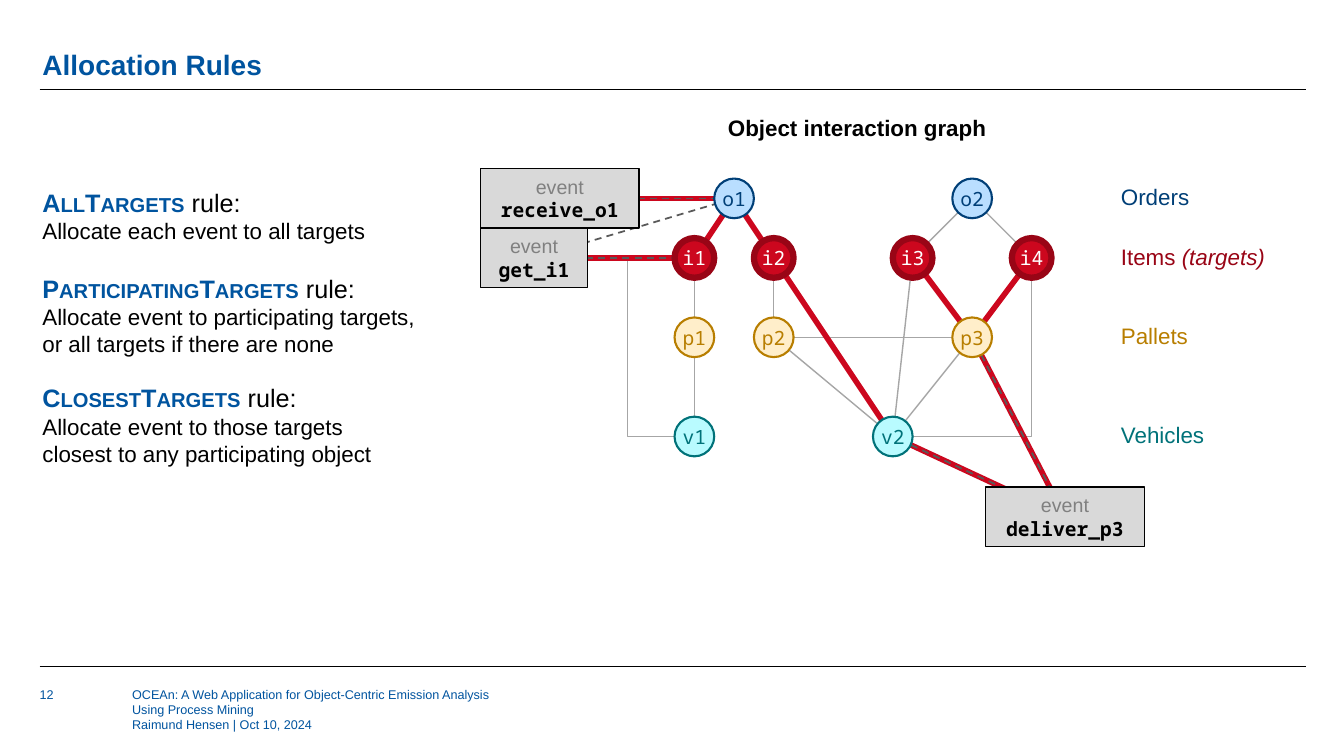
from collections import namedtuple
from math import hypot

from lxml.etree import SubElement
from pptx import Presentation
from pptx.dml.color import RGBColor
from pptx.enum.dml import MSO_LINE
from pptx.enum.shapes import MSO_CONNECTOR, MSO_SHAPE
from pptx.enum.text import MSO_ANCHOR, PP_ALIGN
from pptx.oxml.ns import qn
from pptx.util import Cm, Pt

Box = namedtuple("Box", "left top width height")
Kind = namedtuple("Kind", "row label note fill outline text weight")

BLUE = RGBColor(0x00, 0x54, 0x9F)
BLACK = RGBColor(0x00, 0x00, 0x00)
WHITE = RGBColor(0xFF, 0xFF, 0xFF)
RED = RGBColor(0xCC, 0x07, 0x1E)
DARK_RED = RGBColor(0x99, 0x05, 0x16)
NAVY = RGBColor(0x00, 0x3F, 0x77)
SKY = RGBColor(0xB9, 0xDE, 0xFF)
OCHRE = RGBColor(0xB8, 0x7E, 0x00)
CREAM = RGBColor(0xFF, 0xEE, 0xCA)
TEAL = RGBColor(0x00, 0x72, 0x79)
AQUA = RGBColor(0xB9, 0xFB, 0xFF)
LINK_GREY = RGBColor(0xA6, 0xA6, 0xA6)
DASH_GREY = RGBColor(0x59, 0x59, 0x59)
EVENT_GREY = RGBColor(0xD9, 0xD9, 0xD9)
CAPTION_GREY = RGBColor(0x80, 0x80, 0x80)

SANS, MONO = "Arial", "Noto Sans Mono"
NODE_SIZE, LINK_INSET, EVENT_HEIGHT = 1, 0.1, 1.5
DETOUR_X = 3.82

# Row centres are measured in cm from the top of the graph.
KINDS = {
    "o": Kind(1, "Orders", "", SKY, NAVY, NAVY, 1.5),
    "i": Kind(2.5, "Items ", "(targets)", RED, DARK_RED, WHITE, 4.5),
    "p": Kind(4.5, "Pallets", "", CREAM, OCHRE, OCHRE, 1.5),
    "v": Kind(7, "Vehicles", "", AQUA, TEAL, TEAL, 1.5),
}
NODE_X = {"i1": 5.5, "i2": 7.5, "i3": 11, "i4": 14, "p1": 5.5, "p2": 7.5,
          "p3": 12.5, "v1": 5.5, "v2": 10.5, "o1": 6.5, "o2": 12.5}
# Event name: centre x, centre y, width
EVENTS = {"deliver_p3": (14.84, 9.02, 4), "get_i1": (1.46, 2.5, 2.7),
          "receive_o1": (2.11, 1, 4)}

INTERACTIONS = ["p2 p3", "p3 v2", "i2 v2", "p2 v2", "i3 v2", "i1 p1", "p1 v1", "i2 p2",
                "o1 i1", "o1 i2", "o2 i3", "o2 i4", "i4 p3", "i3 p3"]
ALLOCATIONS = ["p3 i3", "p3 i4", "deliver_p3 p3", "deliver_p3 v2", "v2 i2",
               "o1 receive_o1", "o1 i1", "o1 i2", "i1 get_i1"]
PARTICIPATIONS = ["deliver_p3 v2", "deliver_p3 p3", "i1 get_i1", "o1 get_i1",
                  "o1 receive_o1"]

RULES = [
    ("AllTargets", 0, ["Allocate each event to all targets"]),
    ("ParticipatingTargets", 20.7, ["Allocate event to participating targets,",
                                    "or all targets if there are none"]),
    ("ClosestTargets", 18.4, ["Allocate event to those targets",
                              "closest to any participating object"]),
]


def add_run(paragraph, text, color, **font_format):
    run = paragraph.add_run()
    run.text = text
    run.font.color.rgb = color
    for key, value in {"name": SANS, **font_format}.items():
        setattr(run.font, key, value)
    return run


def set_frame(frame, inset=None, anchor=MSO_ANCHOR.TOP):
    frame.word_wrap = True
    frame.vertical_anchor = anchor
    if inset is not None:
        for side in ("left", "top", "right", "bottom"):
            setattr(frame, f"margin_{side}", Cm(inset))
    return frame


def add_text(slide, box, **frame_format):
    textbox = slide.shapes.add_textbox(*map(Cm, box))
    return set_frame(textbox.text_frame, **frame_format)


def add_line(slide, start, end, color, width, dash=None):
    line = slide.shapes.add_connector(MSO_CONNECTOR.STRAIGHT, *map(Cm, (*start, *end)))
    SubElement(line._element.spPr, qn("a:effectLst"))
    line.line.color.rgb = color
    line.line.width = Pt(width)
    if dash:
        line.line.dash_style = dash


def add_filled(slide, preset, box, fill, outline, weight):
    shape = slide.shapes.add_shape(preset, *map(Cm, box))
    shape.shadow.inherit = False
    shape.fill.solid()
    shape.fill.fore_color.rgb = fill
    shape.line.color.rgb = outline
    shape.line.width = Pt(weight)
    return shape.text_frame


def add_detour(slide, points):
    """Draw a link that turns corners."""
    start, *rest = [(Cm(x), Cm(y)) for x, y in points]
    builder = slide.shapes.build_freeform(*start)
    builder.add_line_segments(rest, close=False)
    detour = builder.convert_to_shape()
    detour.shadow.inherit = False
    detour.fill.background()
    detour.line.color.rgb = LINK_GREY
    detour.line.width = Pt(1)


def add_header(slide, box):
    title = add_text(slide, Box(box.left + 0.07, box.top, box.width, 1.5),
                     inset=0, anchor=MSO_ANCHOR.BOTTOM).paragraphs[0]
    title.line_spacing = 0.9
    add_run(title, "Allocation Rules", BLUE, size=Pt(20), bold=True)
    bottom, right = box.top + box.height, box.left + box.width
    add_line(slide, (box.left, bottom), (right, bottom), BLACK, 0.5)


def add_footer(slide, box):
    add_line(slide, box[:2], (box.left + box.width, box.top), BLACK, 0.5)
    columns = [
        (0, 2.03, ["12"]),
        (2.33, 9.27, ["OCEAn: A Web Application for Object-Centric Emission Analysis "
                      "Using Process Mining", "Raimund Hensen | Oct 10, 2024"]),
    ]
    for offset, width, lines in columns:
        frame = add_text(slide, Box(box.left + offset, box.top + 0.51, width, 1.09), inset=0)
        for number, line in enumerate(lines):
            paragraph = frame.add_paragraph() if number else frame.paragraphs[0]
            add_run(paragraph, line, BLUE, size=Pt(9))


def add_rules(slide, box):
    frame = add_text(slide, box, inset=0.51, anchor=MSO_ANCHOR.BOTTOM)
    for rule, gap, explanation in RULES:
        heading = frame.add_paragraph() if gap else frame.paragraphs[0]
        if gap:
            heading.space_before = Pt(gap)
        name = add_run(heading, rule, BLUE, size=Pt(18), bold=True)
        name._r.get_or_add_rPr().set("cap", "small")
        add_run(heading, " rule:", BLACK, size=Pt(18))
        for line in explanation:
            add_run(frame.add_paragraph(), line, BLACK, size=Pt(16))


def add_graph(slide, box):
    centres = {node: (box.left + x, box.top + KINDS[node[0]].row)
               for node, x in NODE_X.items()}
    centres.update({event: (box.left + x, box.top + y) for event, (x, y, _) in EVENTS.items()})

    heading = add_text(slide, Box(box.left + 5.4, box.top - 1.26, 8.4, 1.5)).paragraphs[0]
    heading.alignment = PP_ALIGN.CENTER
    add_run(heading, "Object interaction graph", BLACK, size=Pt(16), bold=True)

    def add_links(pairs, *line_format):
        for pair in pairs:
            (x1, y1), (x2, y2) = (centres[end] for end in pair.split())
            share = LINK_INSET / hypot(x2 - x1, y2 - y1)
            dx, dy = (x2 - x1) * share, (y2 - y1) * share
            add_line(slide, (x1 + dx, y1 + dy), (x2 - dx, y2 - dy), *line_format)

    add_links(INTERACTIONS, LINK_GREY, 1)
    i1, v1, i4, v2 = (centres[node] for node in ("i1", "v1", "i4", "v2"))
    detour_x = box.left + DETOUR_X
    add_detour(slide, [i1, (detour_x, i1[1]), (detour_x, v1[1]), v1])
    add_detour(slide, [i4, (i4[0], v2[1]), v2])
    add_links(ALLOCATIONS, RED, 4)
    add_links(PARTICIPATIONS, DASH_GREY, 1.25, MSO_LINE.DASH)

    for event, (_, _, width) in EVENTS.items():
        x, y = centres[event]
        place = Box(x - width / 2, y - EVENT_HEIGHT / 2, width, EVENT_HEIGHT)
        frame = set_frame(add_filled(slide, MSO_SHAPE.RECTANGLE, place, EVENT_GREY, BLACK, 1),
                          anchor=MSO_ANCHOR.MIDDLE)
        add_run(frame.paragraphs[0], "event", CAPTION_GREY, size=Pt(14))
        add_run(frame.add_paragraph(), event, BLACK, size=Pt(14), name=MONO, bold=True)
        for paragraph in frame.paragraphs:
            paragraph.alignment = PP_ALIGN.CENTER

    for node in NODE_X:
        kind, (x, y) = KINDS[node[0]], centres[node]
        place = Box(x - NODE_SIZE / 2, y - NODE_SIZE / 2, NODE_SIZE, NODE_SIZE)
        frame = set_frame(add_filled(slide, MSO_SHAPE.OVAL, place, kind.fill, kind.outline,
                                     kind.weight), inset=0, anchor=MSO_ANCHOR.MIDDLE)
        frame.paragraphs[0].alignment = PP_ALIGN.CENTER
        add_run(frame.paragraphs[0], node, kind.text, size=Pt(14), name=MONO)


def add_legend(slide, box):
    for kind in KINDS.values():
        place = Box(box.left, box.top + kind.row - 0.5, box.width, 1)
        label = add_text(slide, place).paragraphs[0]
        add_run(label, kind.label, kind.outline, size=Pt(16))
        if kind.note:
            add_run(label, kind.note, kind.outline, size=Pt(16), italic=True)


def main():
    deck = Presentation()
    deck.slide_width, deck.slide_height = Cm(33.87), Cm(19.05)
    slide = deck.slides.add_slide(deck.slide_layouts[6])
    add_header(slide, Box(1, 0.56, 31.9, 1.7))
    add_rules(slide, Box(0.56, 4.67, 12, 7.6))
    add_graph(slide, Box(12, 4, 17, 10))
    add_legend(slide, Box(28, 4, 4.93, 8))
    add_footer(slide, Box(1, 16.79, 31.9, 1.6))
    deck.save("out.pptx")


if __name__ == "__main__":
    main()
